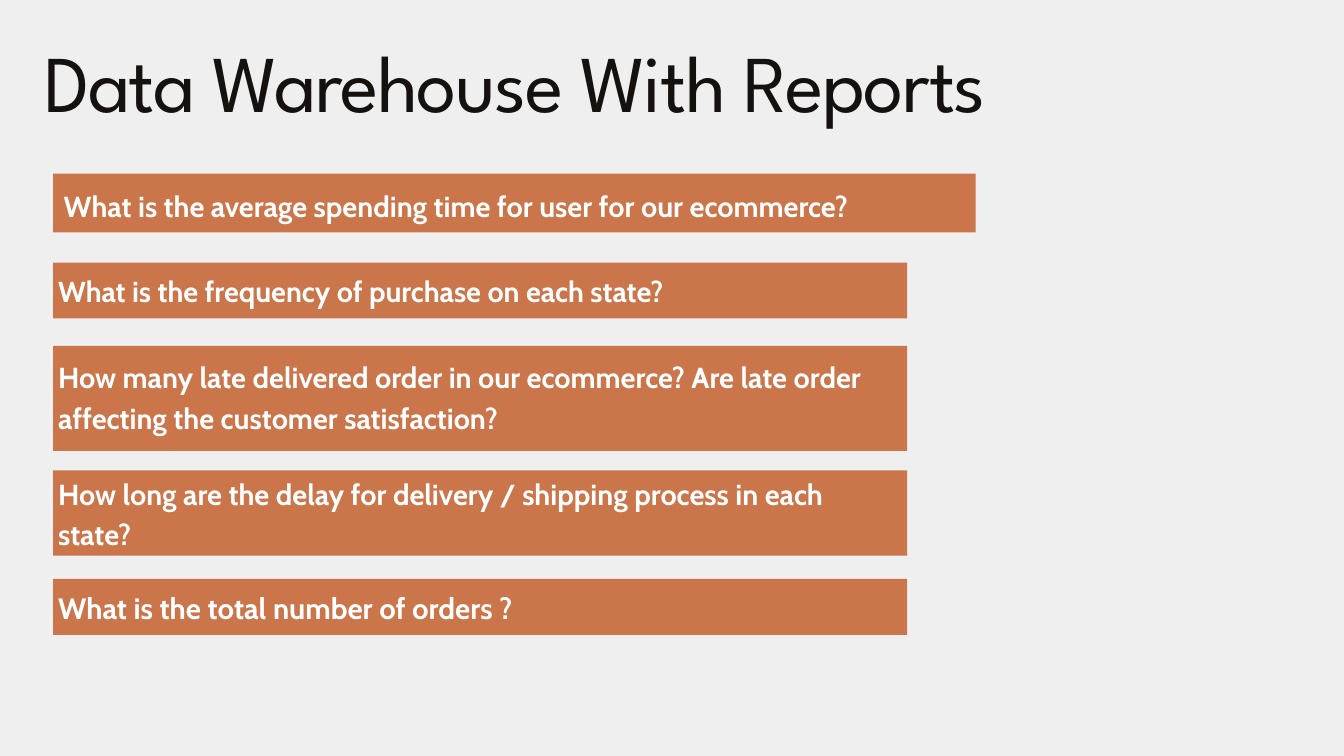
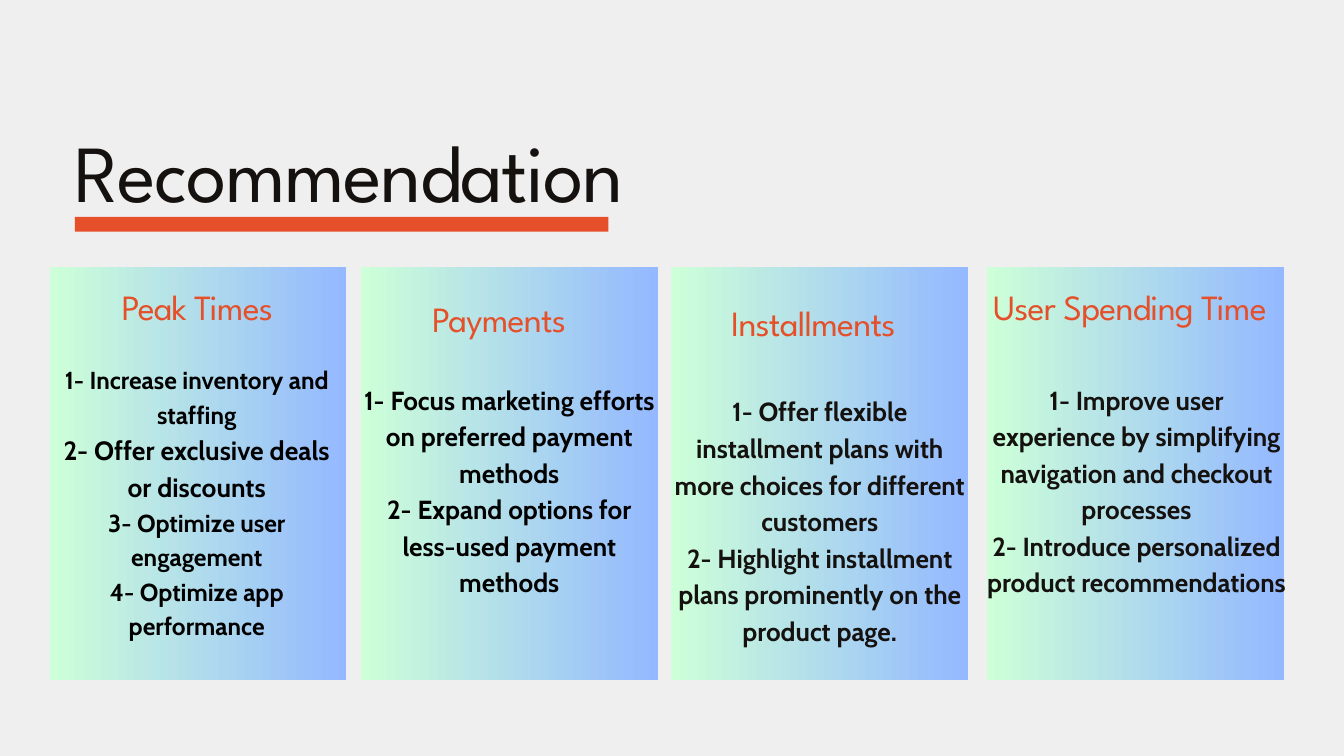
from dataclasses import dataclass

from pptx import Presentation
from pptx.dml.color import RGBColor
from pptx.enum.shapes import MSO_SHAPE
from pptx.enum.text import MSO_ANCHOR, MSO_AUTO_SIZE, PP_ALIGN
from pptx.util import Emu, Pt

PAPER = "EFEFEF"
INK = "14110F"
BLACK = "000000"
WHITE = "FFFFFF"
CLAY = "CB754B"
ORANGE = "E54F29"
MINT = "CDFFD8"
SKY = "94B9FF"
TITLE_ONLY = 5


@dataclass
class TextStyle:
    font: str
    color: str
    line_ratio: float
    bold: bool = False
    tracking: float = 0
    alignment: PP_ALIGN = PP_ALIGN.LEFT


TITLE = TextStyle("League Spartan", INK, 0.88, tracking=-1.7)
HEADING = TextStyle("League Spartan", ORANGE, 0.88, tracking=-0.8, alignment=PP_ALIGN.CENTER)
QUESTION = TextStyle("Cabin", WHITE, 1.4, bold=True)
BLACK_ADVICE = TextStyle("Cabin", BLACK, 1.4, bold=True, alignment=PP_ALIGN.CENTER)
INK_ADVICE = TextStyle("Cabin", INK, 1.4, bold=True, alignment=PP_ALIGN.CENTER)


@dataclass
class Card:
    left: int
    heading: str
    heading_left: int
    heading_top: int
    body_top: int
    body_width: int
    body_height: int
    style: TextStyle
    advice: list


QUESTIONS = [
    ((76, 248, 1318, 84), (91, 261, 1730, 112), 31,
     "What is the average spending time for user for our ecommerce?"),
    ((76, 375, 1220, 80), (83, 383, 1186, 112), 30.9,
     "What is the frequency of purchase on each state?"),
    ((76, 494, 1220, 150), (83, 506, 1165, 168), 31,
     "How many late delivered order in our ecommerce? "
     "Are late order affecting the customer satisfaction?"),
    ((76, 672, 1220, 122), (83, 672, 1186, 169), 31,
     "How long are the delay for delivery / shipping process in each state?"),
    ((76, 827, 1220, 80), (83, 834, 1206, 57), 31.5,
     "What is the total number of orders ?"),
]

CARDS = [
    Card(71, "Peak Times", 60, 423, 515, 420, 395, BLACK_ADVICE, [
        ("1- Increase inventory and staffing", 26.3),
        ("2- Offer exclusive deals or discounts", 28.3),
        ("3- Optimize user engagement", 26.3),
        ("4- Optimize app performance", 26.3),
    ]),
    Card(516, "Payments", 491, 440, 541, 423, 363, BLACK_ADVICE, [
        ("1- Focus marketing efforts on preferred payment methods", 28),
        ("2- Expand options for less-used payment methods", 28),
    ]),
    Card(959, "Installments", 940, 446, 558, 424, 363, INK_ADVICE, [
        ("1- Offer flexible installment plans with more choices for different customers", 28),
        ("2- Highlight installment plans prominently on the product page.", 28),
    ]),
    Card(1410, "User Spending Time", 1392, 423, 541, 427, 415, INK_ADVICE, [
        ("1- Improve user experience by simplifying navigation and checkout processes", 28),
        ("2- Introduce personalized product recommendations", 28),
    ]),
]


def px(value):
    return Emu(value * 9525)


def rgb(color):
    return RGBColor.from_string(color)


def write_text(shape, lines, style):
    frame = shape.text_frame
    frame.word_wrap = True
    frame.auto_size = MSO_AUTO_SIZE.NONE
    frame.vertical_anchor = MSO_ANCHOR.TOP
    frame.margin_left = frame.margin_top = frame.margin_right = frame.margin_bottom = 0
    for index, (text, size) in enumerate(lines):
        paragraph = frame.add_paragraph() if index else frame.paragraphs[0]
        paragraph.alignment = style.alignment
        paragraph.line_spacing = Pt(round(size * style.line_ratio, 1))
        run = paragraph.add_run()
        run.text = text
        run.font.name = style.font
        run.font.size = Pt(size)
        run.font.bold = style.bold
        run.font.color.rgb = rgb(style.color)
        if style.tracking:
            run._r.get_or_add_rPr().set("spc", str(round(style.tracking * 100)))


def add_text(slide, box, lines, style):
    shape = slide.shapes.add_textbox(*map(px, box))
    write_text(shape, lines, style)


def add_rectangle(slide, box):
    shape = slide.shapes.add_shape(MSO_SHAPE.RECTANGLE, *map(px, box))
    shape.shadow.inherit = False
    shape.line.fill.background()
    return shape


def add_bar(slide, box, color):
    fill = add_rectangle(slide, box).fill
    fill.solid()
    fill.fore_color.rgb = rgb(color)


def add_gradient_panel(slide, box):
    fill = add_rectangle(slide, box).fill
    fill.gradient()
    fill.gradient_angle = 0
    for stop, color in zip(fill.gradient_stops, (MINT, SKY)):
        stop.color.rgb = rgb(color)


def add_titled_slide(presentation, text, box, size):
    slide = presentation.slides.add_slide(presentation.slide_layouts[TITLE_ONLY])
    title = slide.shapes.title
    title.left, title.top, title.width, title.height = map(px, box)
    write_text(title, [(text, size)], TITLE)
    return slide


def add_card(slide, card):
    add_gradient_panel(slide, (card.left, 381, 424, 591))
    add_text(slide, (card.heading_left, card.heading_top, 444, 47),
             [(card.heading, 38)], HEADING)
    add_text(slide, (card.left, card.body_top, card.body_width, card.body_height),
             card.advice, card.style)


def add_questions_slide(presentation):
    slide = add_titled_slide(presentation, "Data Warehouse With Reports",
                             (63, 82, 1842, 109), 86.3)
    for bar, text_box, size, question in QUESTIONS:
        add_bar(slide, bar, CLAY)
        add_text(slide, text_box, [(question, size)], QUESTION)


def add_recommendation_slide(presentation):
    slide = add_titled_slide(presentation, "Recommendation", (107, 210, 1022, 110), 86.7)
    add_bar(slide, (107, 310, 762, 21), ORANGE)
    for card in CARDS:
        add_card(slide, card)


def main():
    presentation = Presentation()
    presentation.slide_width = px(1920)
    presentation.slide_height = px(1080)
    background = presentation.slide_master.background.fill
    background.solid()
    background.fore_color.rgb = rgb(PAPER)
    add_questions_slide(presentation)
    add_recommendation_slide(presentation)
    presentation.save("out.pptx")


if __name__ == "__main__":
    main()
